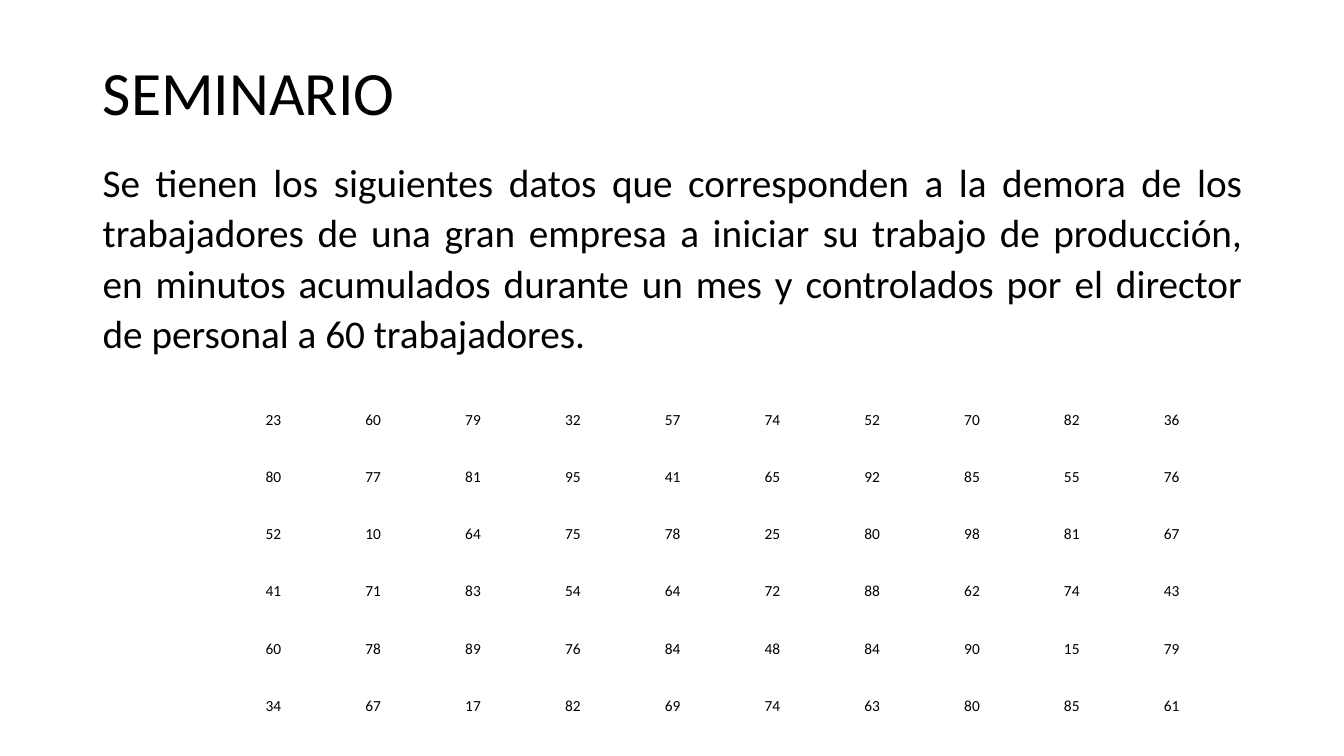
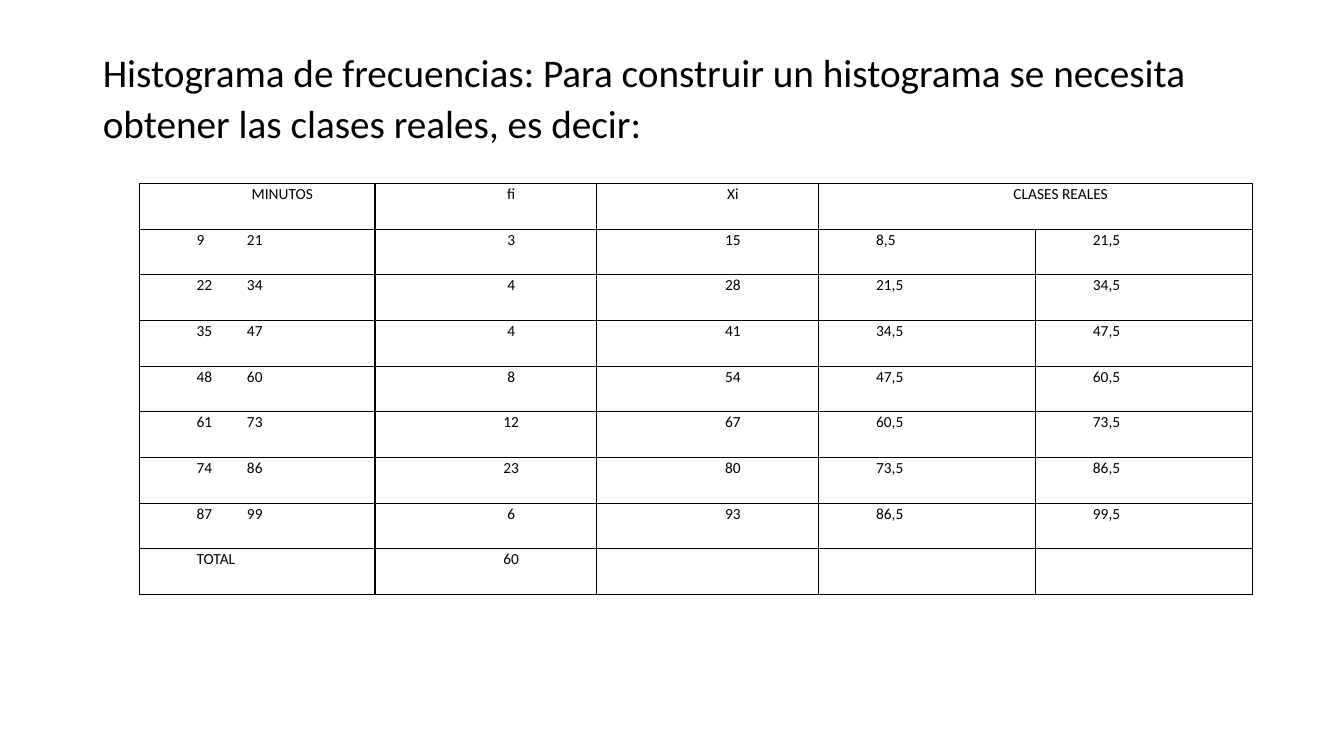
from dataclasses import dataclass

import pptx
import pptx.dml.color
import pptx.enum.text
import pptx.oxml.ns
import pptx.util
from lxml import etree

Inches = pptx.util.Inches
Pt = pptx.util.Pt
Align = pptx.enum.text.PP_ALIGN
Anchor = pptx.enum.text.MSO_ANCHOR

SEMINAR_TITLE = "SEMINARIO"
SEMINAR_TEXT = (
    "Se tienen los siguientes datos que corresponden a la demora de los "
    "trabajadores de una gran empresa a iniciar su trabajo de producción, "
    "en minutos acumulados durante un mes y controlados por el director "
    "de personal a 60 trabajadores."
)
DELAYS = [
    (23, 60, 79, 32, 57, 74, 52, 70, 82, 36),
    (80, 77, 81, 95, 41, 65, 92, 85, 55, 76),
    (52, 10, 64, 75, 78, 25, 80, 98, 81, 67),
    (41, 71, 83, 54, 64, 72, 88, 62, 74, 43),
    (60, 78, 89, 76, 84, 48, 84, 90, 15, 79),
    (34, 67, 17, 82, 69, 74, 63, 80, 85, 61),
]
HISTOGRAM_TITLE = (
    "Histograma de frecuencias: Para construir un histograma se necesita "
    "obtener las clases reales, es decir:"
)
CLASS_HEADER = ("MINUTOS", "fi", "Xi", "CLASES REALES", "")
CLASSES = [
    ("9\t21", "3", "15", "8,5", "21,5"),
    ("22\t34", "4", "28", "21,5", "34,5"),
    ("35\t47", "4", "41", "34,5", "47,5"),
    ("48\t60", "8", "54", "47,5", "60,5"),
    ("61\t73", "12", "67", "60,5", "73,5"),
    ("74\t86", "23", "80", "73,5", "86,5"),
    ("87\t99", "6", "93", "86,5", "99,5"),
]
CLASS_TOTAL = ("TOTAL", "60", "", "", "")
CLASS_WIDTHS = (2.34, 2.2, 2.2, 2.15, 2.15)
CENTRED_COLUMNS = (1, 2)


@dataclass(frozen=True)
class Theme:
    font: str = "Calibri"
    ink: str = "000000"
    title_size: int = 44
    body_size: int = 28
    cell_size: int = 11
    title_spacing: float = 0.9
    text_spacing: float = 1.07
    left: float = 0.92
    top: float = 0.4
    width: float = 11.5
    cell_indent: float = 0.5
    minute_tab: float = 0.9
    border: float = 1


THEME = Theme()


def write(frame, text, size, align=Align.LEFT, spacing=THEME.text_spacing, before=0, after=0):
    para = frame.paragraphs[0]
    para.alignment = align
    para.line_spacing = spacing
    para.space_before = Pt(before)
    para.space_after = Pt(after)
    span = para.add_run()
    span.text = text
    span.font.name = THEME.font
    span.font.size = Pt(size)
    span.font.bold = False
    span.font.color.rgb = pptx.dml.color.RGBColor.from_string(THEME.ink)
    return para


def place_frame(box, top, height, anchor):
    box.left, box.top = Inches(THEME.left), Inches(top)
    box.width, box.height = Inches(THEME.width), Inches(height)
    frame = box.text_frame
    frame.word_wrap = True
    frame.auto_size = pptx.enum.text.MSO_AUTO_SIZE.NONE
    frame.vertical_anchor = anchor
    return frame


def add_page(deck):
    return deck.slides.add_slide(deck.slide_layouts.get_by_name("Title Only"))


def add_grid(page, left, top, widths, height, row_count):
    holder = page.shapes.add_table(
        row_count, len(widths), Inches(left), Inches(top), Inches(sum(widths)), Inches(height)
    )
    table = holder.table
    table.first_row = False
    table.horz_banding = False
    for column, width in zip(table.columns, widths):
        column.width = Inches(width)
    for row in table.rows:
        row.height = Inches(height / row_count)
    return table


def format_cell(cell, side_margin, anchor):
    cell.margin_left = cell.margin_right = Inches(side_margin)
    cell.margin_top = cell.margin_bottom = 0
    cell.vertical_anchor = anchor
    cell.fill.background()


def add_borders(cell):
    qn = pptx.oxml.ns.qn
    properties = cell._tc.get_or_add_tcPr()
    for side in ("a:lnL", "a:lnR", "a:lnT", "a:lnB"):
        line = etree.SubElement(properties, qn(side), w=str(Pt(THEME.border)))
        fill = etree.SubElement(line, qn("a:solidFill"))
        etree.SubElement(fill, qn("a:srgbClr"), val=THEME.ink)


def indent_cell(para, has_tab):
    qn = pptx.oxml.ns.qn
    properties = para._p.get_or_add_pPr()
    indent = str(Inches(THEME.cell_indent))
    properties.set("marL", "0" if has_tab else indent)
    properties.set("indent", indent if has_tab else "0")
    if has_tab:
        stops = etree.SubElement(properties, qn("a:tabLst"))
        etree.SubElement(stops, qn("a:tab"), pos=str(Inches(THEME.minute_tab)), algn="l")


def build_seminar(deck):
    page = add_page(deck)
    title = place_frame(page.shapes.title, THEME.top, 1.09, Anchor.MIDDLE)
    write(title, SEMINAR_TITLE, THEME.title_size, spacing=THEME.title_spacing)
    box = page.shapes.add_textbox(0, 0, 0, 0)
    body = place_frame(box, 1.49, 2.2, Anchor.TOP)
    write(body, SEMINAR_TEXT, THEME.body_size, Align.JUSTIFY, before=10, after=8)

    widths = [0.99] * len(DELAYS[0])
    table = add_grid(page, 1.85, 3.69, widths, 3.41, len(DELAYS))
    for r, values in enumerate(DELAYS):
        for c, value in enumerate(values):
            cell = table.cell(r, c)
            format_cell(cell, 0.05, Anchor.BOTTOM)
            write(cell.text_frame, str(value), THEME.cell_size, Align.RIGHT)


def build_histogram(deck):
    page = add_page(deck)
    title = place_frame(page.shapes.title, THEME.top, 1.3, Anchor.TOP)
    write(title, HISTOGRAM_TITLE, THEME.body_size, before=10, after=8)

    rows = [CLASS_HEADER, *CLASSES, CLASS_TOTAL]
    table = add_grid(page, 1.38, 1.82, CLASS_WIDTHS, 4.08, len(rows))
    for r, values in enumerate(rows):
        for c, value in enumerate(values):
            cell = table.cell(r, c)
            add_borders(cell)
            format_cell(cell, 0.07, Anchor.TOP)
            if value:
                centred = r == 0 or c in CENTRED_COLUMNS
                align = Align.CENTER if centred else Align.LEFT
                para = write(cell.text_frame, value, THEME.cell_size, align)
                indent_cell(para, "\t" in value)
    table.cell(0, 3).merge(table.cell(0, 4))


deck = pptx.Presentation()
deck.slide_width, deck.slide_height = Inches(13.33), Inches(7.5)
build_seminar(deck)
build_histogram(deck)
deck.save("out.pptx")
